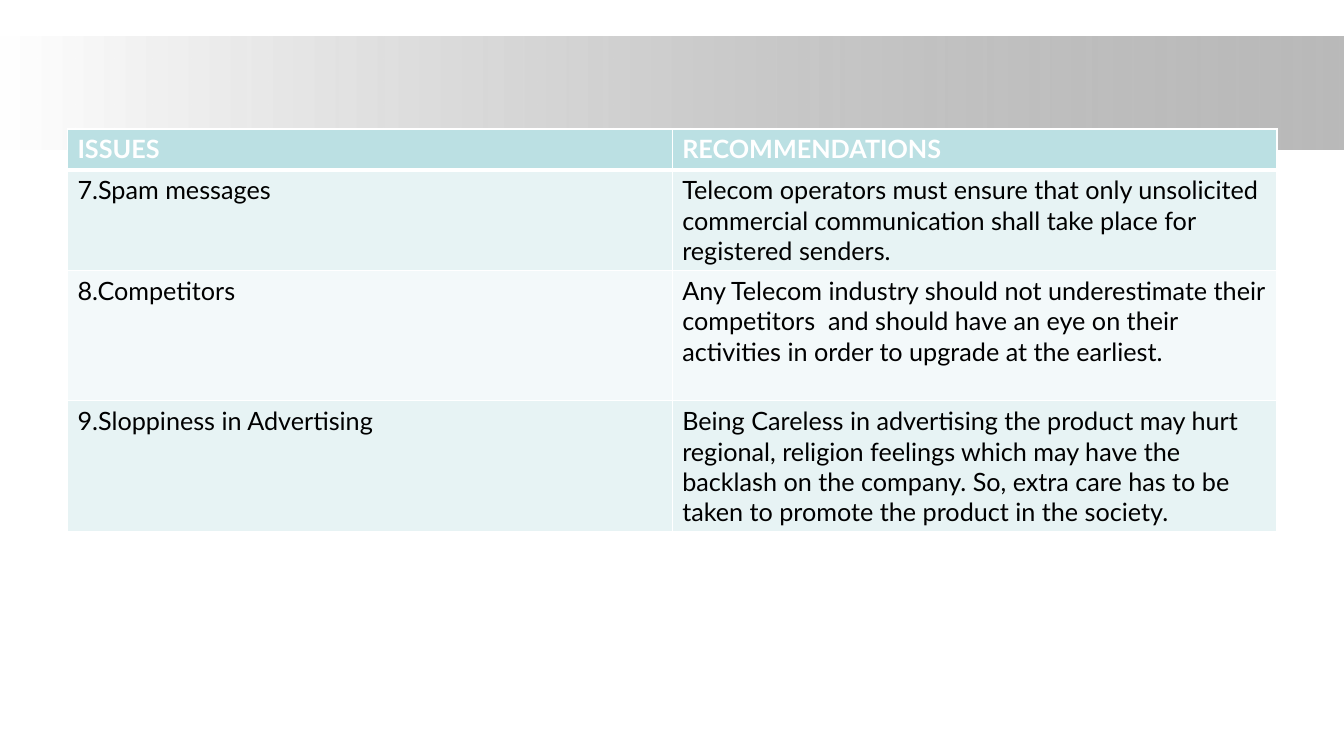
from lxml import etree
from pptx import Presentation
from pptx.dml.color import RGBColor
from pptx.enum.shapes import MSO_SHAPE
from pptx.oxml.ns import qn
from pptx.util import Cm, Pt

RECTANGLE = MSO_SHAPE.RECTANGLE
BLANK_LAYOUT = 6
WHITE, BLACK, GREY = "FFFFFF", "000000", "808080"
HEADER_FILL = "BBE0E3"
BAND_FILLS = ("E7F3F4", "F3F9FA")
THIN, THICK = 1, 3

HEADINGS = ("ISSUES", "RECOMMENDATIONS")
ISSUES = [
    ("7.Spam messages",
     "Telecom operators must ensure that only unsolicited commercial "
     "communication shall take place for registered senders."),
    ("8.Competitors",
     "Any Telecom industry should not underestimate their competitors  and "
     "should have an eye on their activities in order to upgrade at the earliest."),
    ("9.Sloppiness in Advertising",
     "Being Careless in advertising the product may hurt regional, religion "
     "feelings which may have the backlash on the company. So, extra care has "
     "to be taken to promote the product in the society."),
]
ROW_HEIGHTS = (1.03, 2.54, 3.28, 3.28)


def color(hex_string):
    return RGBColor.from_string(hex_string)


def write_text(frame, text, size=18, fill=BLACK, bold=False, font="Lato"):
    span = frame.paragraphs[0].add_run()
    span.text = text
    span.font.name = font
    span.font.size = Pt(size)
    span.font.bold = bold
    span.font.color.rgb = color(fill)


def set_borders(cell, top, bottom):
    """Draw white cell borders; top and bottom widths are in points."""
    properties = cell._tc.get_or_add_tcPr()
    widths = {"lnL": THIN, "lnR": THIN, "lnT": top, "lnB": bottom}
    for side, width in widths.items():
        line = etree.SubElement(properties, qn(f"a:{side}"), w=str(Pt(width)))
        solid = etree.SubElement(line, qn("a:solidFill"))
        etree.SubElement(solid, qn("a:srgbClr"), val=WHITE)


class SlideBuilder:
    def __init__(self, deck):
        self.page = deck.slides.add_slide(deck.slide_layouts[BLANK_LAYOUT])

    def gradient_band(self, left, top, width, height, start, end, end_opacity):
        """Add a left-to-right gradient whose end is partly transparent."""
        band = self.page.shapes.add_shape(
            RECTANGLE, Cm(left), Cm(top), Cm(width), Cm(height))
        band.shadow.inherit = False
        band.line.fill.background()
        band.fill.gradient()
        band.fill.gradient_angle = 0
        for stop, stop_color in zip(band.fill.gradient_stops, (start, end)):
            stop.color.rgb = color(stop_color)
        end_color = band._element.spPr.findall(".//" + qn("a:srgbClr"))[-1]
        etree.SubElement(end_color, qn("a:alpha"), val=str(end_opacity * 1000))

    def table(self, left, top, width, headings, records, heights):
        rows = [headings, *records]
        grid = self.page.shapes.add_table(
            len(rows), len(headings), Cm(left), Cm(top),
            Cm(width), Cm(sum(heights))).table
        for column in grid.columns:
            column.width = Cm(width / len(headings))
        for index, (texts, height) in enumerate(zip(rows, heights)):
            grid.rows[index].height = Cm(height)
            header = index == 0
            for cell, text in zip(grid.rows[index].cells, texts):
                set_borders(cell, top=THICK if index == 1 else THIN,
                            bottom=THICK if header else THIN)
                cell.fill.solid()
                cell.fill.fore_color.rgb = color(
                    HEADER_FILL if header else BAND_FILLS[(index - 1) % 2])
                write_text(cell.text_frame, text, bold=header,
                           fill=WHITE if header else BLACK)


def main():
    deck = Presentation()
    deck.slide_width, deck.slide_height = Cm(33.87), Cm(19.05)
    slide = SlideBuilder(deck)
    slide.gradient_band(0, 0.91, 33.87, 2.87, WHITE, GREY, end_opacity=54)
    slide.table(1.7, 3.25, 30.48, HEADINGS, ISSUES, ROW_HEIGHTS)
    deck.save("out.pptx")


if __name__ == "__main__":
    main()
